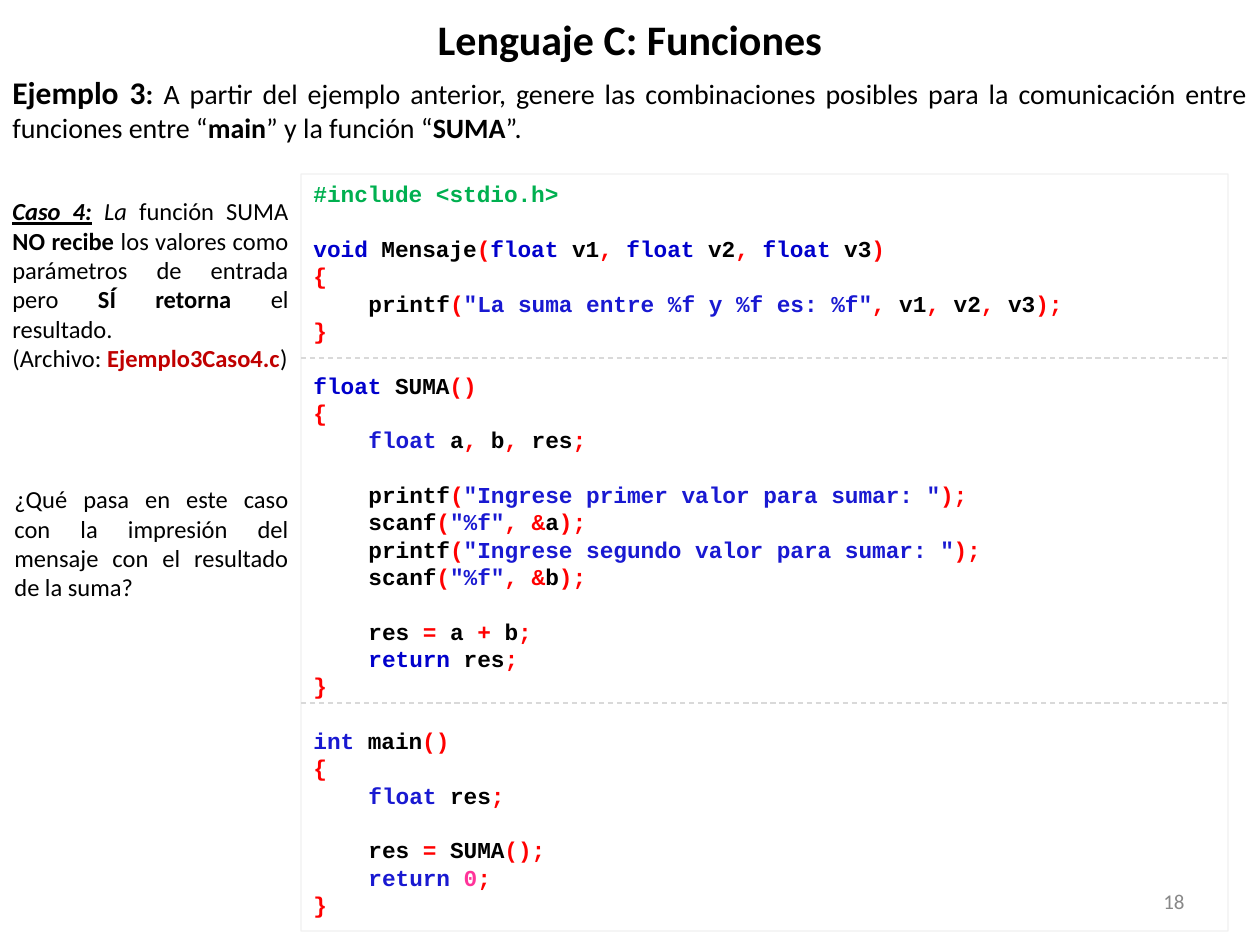
from lxml.etree import SubElement
from pptx import Presentation
from pptx.dml.color import RGBColor
from pptx.enum.dml import MSO_LINE
from pptx.enum.shapes import MSO_CONNECTOR, MSO_SHAPE
from pptx.enum.text import MSO_ANCHOR as ANCHOR, PP_ALIGN as ALIGN
from pptx.oxml.ns import qn
from pptx.util import Emu, Pt

EMU_PER_PX = 914400 / 126
BLACK, RED, GREEN, PINK = "000000", "FF0000", "00B050", "FF3399"
DARK_BLUE, BLUE, GREY = "0000CC", "1919D1", "D9D9D9"
KEYWORDS = {"void", "float", "int", "return"}
CODE_SIZE, CODE_LINE, CODE_INDENT = 13, 15.63, 55

# Keyword colour and the lines of code it applies to
CODE = [
    (DARK_BLUE, """#include <stdio.h>

void Mensaje(float v1, float v2, float v3)
{
    printf("La suma entre %f y %f es: %f", v1, v2, v3);
}

float SUMA()
{"""),
    (BLUE, "    float a, b, res;"),
    (DARK_BLUE, """
    printf("Ingrese primer valor para sumar: ");
    scanf("%f", &a);
    printf("Ingrese segundo valor para sumar: ");
    scanf("%f", &b);

    res = a + b;
    return res;
}"""),
    (BLUE, """
int main()
{
    float res;

    res = SUMA();
    return 0;
}"""),
]

INTRO = [[
    ("Ejemplo 3", "b", 18), (": ", "b", 16),
    ("A partir del ejemplo anterior, genere las combinaciones posibles "
     "para la comunicación entre funciones entre “", "", 16),
    ("main", "b", 16), ("” y la función “", "", 16),
    ("SUMA", "b", 16), ("”.", "", 16),
]]
CASE = [
    [("Caso 4:", "biu", 14), (" ", "bi", 14), ("La ", "i", 14),
     ("función SUMA ", "", 14), ("NO recibe ", "b", 14),
     ("los valores como parámetros de entrada pero ", "", 14),
     ("SÍ retorna ", "b", 14), ("el resultado.", "", 14)],
    [("(Archivo: ", "", 14), ("Ejemplo3Caso4.c", "b", 14, "C00000"),
     (")", "", 14)],
]
QUESTION = [[("¿Qué pasa en este caso con la impresión del mensaje con el "
              "resultado de la suma?", "", 14)]]


def px(n):
    return Emu(round(n * EMU_PER_PX))


def rgb(color):
    return RGBColor.from_string(color)


def add_run(p, text, style="", size=14, color=BLACK, font="Calibri"):
    """Add a run; style holds any of the letters b, i and u."""
    r = p.add_run()
    r.text = text
    f = r.font
    f.name, f.size = font, Pt(size)
    f.bold, f.italic, f.underline = (letter in style for letter in "biu")
    f.color.rgb = rgb(color)


def add_text(s, box, paragraphs, align=ALIGN.JUSTIFY, anchor=ANCHOR.TOP):
    tf = s.shapes.add_textbox(*map(px, box)).text_frame
    tf.word_wrap, tf.vertical_anchor = True, anchor
    for i, runs in enumerate(paragraphs):
        p = tf.add_paragraph() if i else tf.paragraphs[0]
        p.alignment = align
        for run in runs:
            add_run(p, *run)


def split_tokens(line):
    """Split code into words, quoted strings and single symbols."""
    tokens, quoted = [], False
    for ch in line:
        joins = tokens and (quoted or ch.isalnum() and tokens[-1].isalnum())
        if joins:
            tokens[-1] += ch
        else:
            tokens.append(ch)
        if ch == '"':
            quoted = not quoted
    return tokens


def token_color(token, keyword_color):
    if token in KEYWORDS:
        return keyword_color
    if token.startswith('"'):
        return BLUE
    if token.isdigit():
        return PINK
    return BLACK if token.isalnum() else RED


def color_code(line, keyword_color):
    """Return [text, colour] pairs, joining neighbours of one colour."""
    if line.startswith("#"):
        return [[line, GREEN]]
    runs = []
    for token in split_tokens(line):
        color = token_color(token, keyword_color)
        if runs and (token == " " or color == runs[-1][1]):
            runs[-1][0] += token
        else:
            runs.append([token, color])
    return runs


def add_divider(s, x, y, w):
    line = s.shapes.add_connector(MSO_CONNECTOR.STRAIGHT,
                                  px(x), px(y), px(x + w), px(y))
    line.line.color.rgb = rgb(GREY)
    line.line.width = Pt(0.75)
    line.line.dash_style = MSO_LINE.DASH
    SubElement(line._element.spPr, qn("a:effectLst"))


def add_code(s, box, dividers):
    """Draw the code panel, with dashed dividers at offsets from its top."""
    x, y, w, h = box
    sp = s.shapes.add_shape(MSO_SHAPE.RECTANGLE, *map(px, box))
    sp.shadow.inherit = False
    sp.fill.background()
    sp.line.color.rgb = rgb(GREY)
    sp.line.width = Pt(0.75)
    color = sp.line._ln.find(".//" + qn("a:srgbClr"))
    SubElement(color, qn("a:alpha"), val="40000")

    tf = sp.text_frame
    tf.word_wrap, tf.vertical_anchor = True, ANCHOR.TOP
    p, gap = None, 0
    for keyword_color, block in CODE:
        for line in block.splitlines():
            if not line:
                gap = CODE_LINE
                continue
            p = tf.add_paragraph() if p else tf.paragraphs[0]
            p.alignment = ALIGN.LEFT
            p.line_spacing, p.space_before = Pt(CODE_LINE), Pt(gap)
            gap = 0
            if line.startswith(" "):
                pPr = p._p.get_or_add_pPr()
                pPr.set("marL", str(px(CODE_INDENT)))
                pPr.set("indent", "0")
            for text, text_color in color_code(line.strip(), keyword_color):
                add_run(p, text, "b", CODE_SIZE, text_color, "Courier New")
    for offset in dividers:
        add_divider(s, x, y + offset, w)


def main():
    prs = Presentation()
    prs.slide_width, prs.slide_height = px(1260), px(945)
    s = prs.slides.add_slide(prs.slide_layouts[6])
    add_text(s, (903, 876, 294, 50), [[("18", "", 12, "888888")]],
             ALIGN.RIGHT, ANCHOR.MIDDLE)
    add_text(s, (63, 0, 1134, 78), [[("Lenguaje C: Funciones", "b", 24)]],
             ALIGN.CENTER, ANCHOR.MIDDLE)
    add_text(s, (0, 67, 1260, 84), INTRO)
    add_text(s, (0, 190, 301, 220), CASE)
    add_code(s, (301, 174, 927, 757), (184, 529))
    add_text(s, (2, 478, 299, 131), QUESTION)
    prs.save("out.pptx")


if __name__ == "__main__":
    main()
